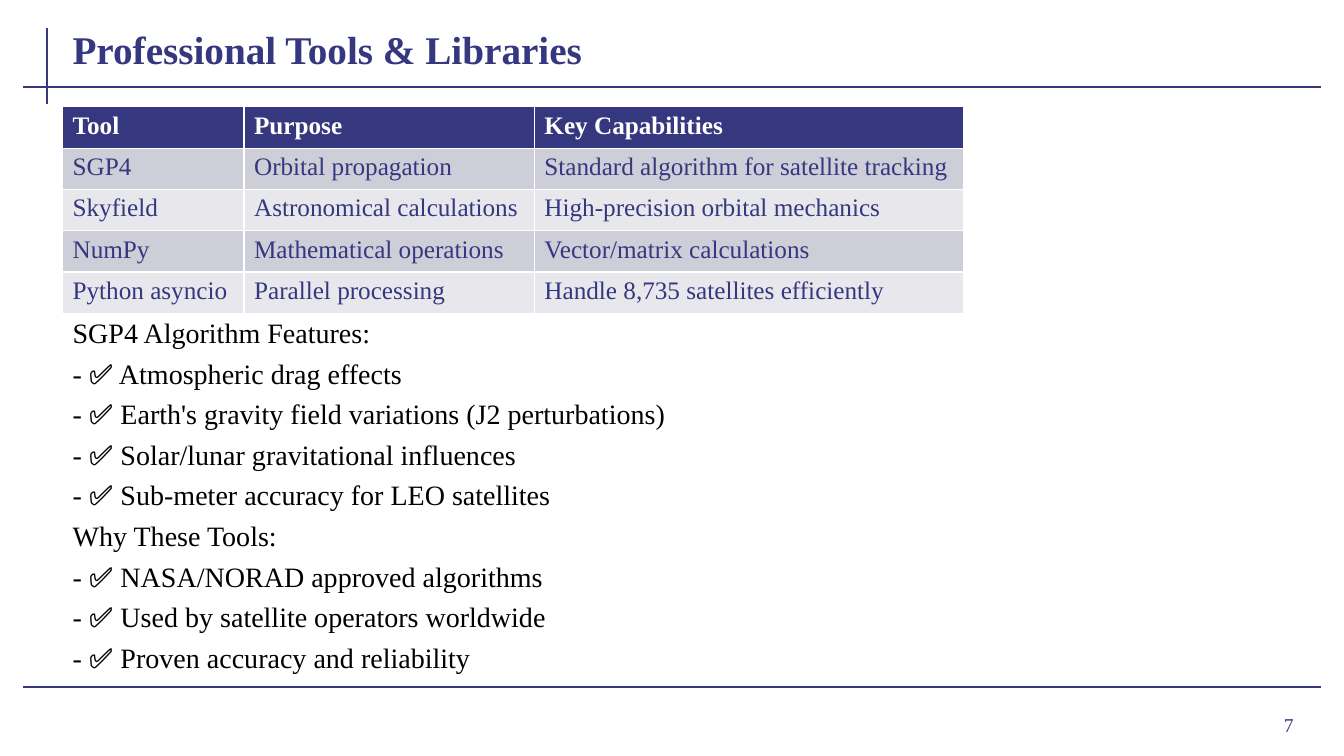
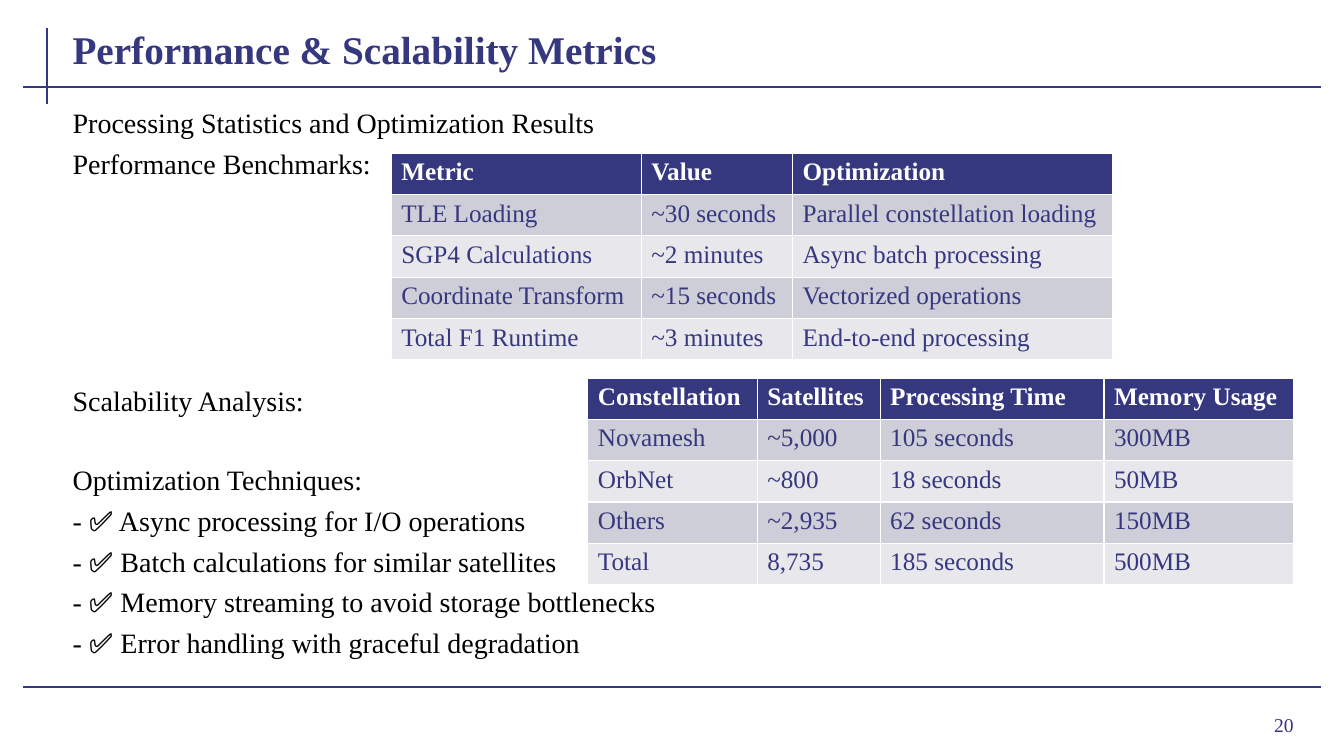
from lxml import etree
from pptx import Presentation
from pptx import util as u
from pptx.dml.color import RGBColor
from pptx.enum import shapes, text
from pptx.oxml import ns

NAVY, BLACK, WHITE = "35377F", "000000", "FFFFFF"
BANDS = ("CECED8", "E8E8EC")
FACE = "Times New Roman"
LEFT, WIDE = 0.62, 12.49
ROW = 0.41
# Pitch of body lines and gap between them, in points
PITCH, GAP = 28, 5
RULES = ((0.47, 0.28, 0.47, 1.03),
         (0.23, 0.86, 13.1, 0.86),
         (0.23, 6.82, 13.1, 6.82))


def tint(code):
    return RGBColor.from_string(code)


class Deck:
    def __init__(self):
        self.prs = Presentation()
        self.prs.slide_width = u.Inches(13.33)
        self.prs.slide_height = u.Inches(7.5)

    def place(self, shape, x, y, w, h):
        shape.left, shape.top = u.Inches(x), u.Inches(y)
        shape.width, shape.height = u.Inches(w), u.Inches(h)

    def style(self, par, size, color, bold=False, align=text.PP_ALIGN.LEFT):
        par.alignment = align
        for run in par.runs:
            font = run.font
            font.name, font.size, font.bold = FACE, u.Pt(size), bold
            font.color.rgb = tint(color)

    def frame(self, shape, anchor):
        box = shape.text_frame
        box.word_wrap = True
        box.auto_size = text.MSO_AUTO_SIZE.NONE
        box.vertical_anchor = anchor
        return box

    def rule(self, x1, y1, x2, y2):
        line = self.slide.shapes.add_connector(
            shapes.MSO_CONNECTOR.STRAIGHT,
            u.Inches(x1), u.Inches(y1), u.Inches(x2), u.Inches(y2))
        line.line.color.rgb = tint(NAVY)
        line.line.width = u.Pt(1.5)
        etree.SubElement(line._element.spPr, ns.qn("a:effectLst"))

    def page(self, title, num):
        """Start a slide with its title, rules and page number."""
        self.slide = self.prs.slides.add_slide(self.prs.slide_layouts[1])
        for ends in RULES:
            self.rule(*ends)
        head = self.slide.shapes.title
        self.place(head, LEFT, 0.15, WIDE, 0.62)
        box = self.frame(head, text.MSO_ANCHOR.BOTTOM)
        box.text = title
        self.style(box.paragraphs[0], 28, NAVY, bold=True)
        foot = self.slide.shapes.add_textbox(
            u.Inches(11.96), u.Inches(6.93), u.Inches(0.97), u.Inches(0.52))
        box = self.frame(foot, text.MSO_ANCHOR.MIDDLE)
        box.text = str(num)
        self.style(box.paragraphs[0], 14, NAVY, align=text.PP_ALIGN.RIGHT)

    def body(self, top, high, lines, skips=None):
        """Fill the body; skips maps a line to the rows left free above it."""
        skips = skips or {}
        shape = self.slide.placeholders[1]
        self.place(shape, LEFT, top, WIDE, high)
        box = self.frame(shape, text.MSO_ANCHOR.TOP)
        box.text = "\n".join(lines)
        for i, par in enumerate(box.paragraphs):
            props = par._p.get_or_add_pPr()
            props.set("marL", "0")
            props.set("indent", "0")
            etree.SubElement(props, ns.qn("a:buNone"))
            free = skips.get(par.text, 0)
            par.space_before = u.Pt(GAP + PITCH * free if i else 0)
            self.style(par, 20, BLACK)

    def table(self, x, y, widths, rows):
        """Add a table with a navy header and banded rows."""
        grid = self.slide.shapes.add_table(
            len(rows), len(widths), u.Inches(x), u.Inches(y),
            u.Inches(sum(widths)), u.Inches(ROW * len(rows))).table
        for col, wide in zip(grid.columns, widths):
            col.width = u.Inches(wide)
        for r, row in enumerate(rows):
            grid.rows[r].height = u.Inches(ROW)
            for c, word in enumerate(row):
                cell = grid.cell(r, c)
                cell.fill.solid()
                cell.fill.fore_color.rgb = tint(BANDS[(r - 1) % 2] if r else NAVY)
                cell.text_frame.text = word
                self.style(cell.text_frame.paragraphs[0], 18,
                           NAVY if r else WHITE, bold=r == 0)


def main():
    deck = Deck()

    # Tools and libraries
    deck.page("Professional Tools & Libraries", 7)
    deck.body(3.08, 3.73, [
        "SGP4 Algorithm Features:",
        "- ✅ Atmospheric drag effects",
        "- ✅ Earth's gravity field variations (J2 perturbations)",
        "- ✅ Solar/lunar gravitational influences",
        "- ✅ Sub-meter accuracy for LEO satellites",
        "Why These Tools:",
        "- ✅ NASA/NORAD approved algorithms",
        "- ✅ Used by satellite operators worldwide",
        "- ✅ Proven accuracy and reliability",
    ])
    deck.table(LEFT, 1.06, (1.8, 2.88, 4.26), [
        ("Tool", "Purpose", "Key Capabilities"),
        ("SGP4", "Orbital propagation", "Standard algorithm for satellite tracking"),
        ("Skyfield", "Astronomical calculations", "High-precision orbital mechanics"),
        ("NumPy", "Mathematical operations", "Vector/matrix calculations"),
        ("Python asyncio", "Parallel processing", "Handle 8,735 satellites efficiently"),
    ])

    # Performance and scalability
    deck.page("Performance & Scalability Metrics", 20)
    deck.body(1, 5.68, [
        "Processing Statistics and Optimization Results",
        "Performance Benchmarks:",
        "Scalability Analysis:",
        "Optimization Techniques:",
        "- ✅ Async processing for I/O operations",
        "- ✅ Batch calculations for similar satellites",
        "- ✅ Memory streaming to avoid storage bottlenecks",
        "- ✅ Error handling with graceful degradation",
    ], {"Scalability Analysis:": 5, "Optimization Techniques:": 1})
    deck.table(3.88, 1.52, (2.48, 1.5, 3.18), [
        ("Metric", "Value", "Optimization"),
        ("TLE Loading", "~30 seconds", "Parallel constellation loading"),
        ("SGP4 Calculations", "~2 minutes", "Async batch processing"),
        ("Coordinate Transform", "~15 seconds", "Vectorized operations"),
        ("Total F1 Runtime", "~3 minutes", "End-to-end processing"),
    ])
    deck.table(5.83, 3.75, (1.68, 1.22, 2.22, 1.88), [
        ("Constellation", "Satellites", "Processing Time", "Memory Usage"),
        ("Novamesh", "~5,000", "105 seconds", "300MB"),
        ("OrbNet", "~800", "18 seconds", "50MB"),
        ("Others", "~2,935", "62 seconds", "150MB"),
        ("Total", "8,735", "185 seconds", "500MB"),
    ])

    deck.prs.save("out.pptx")


if __name__ == "__main__":
    main()
